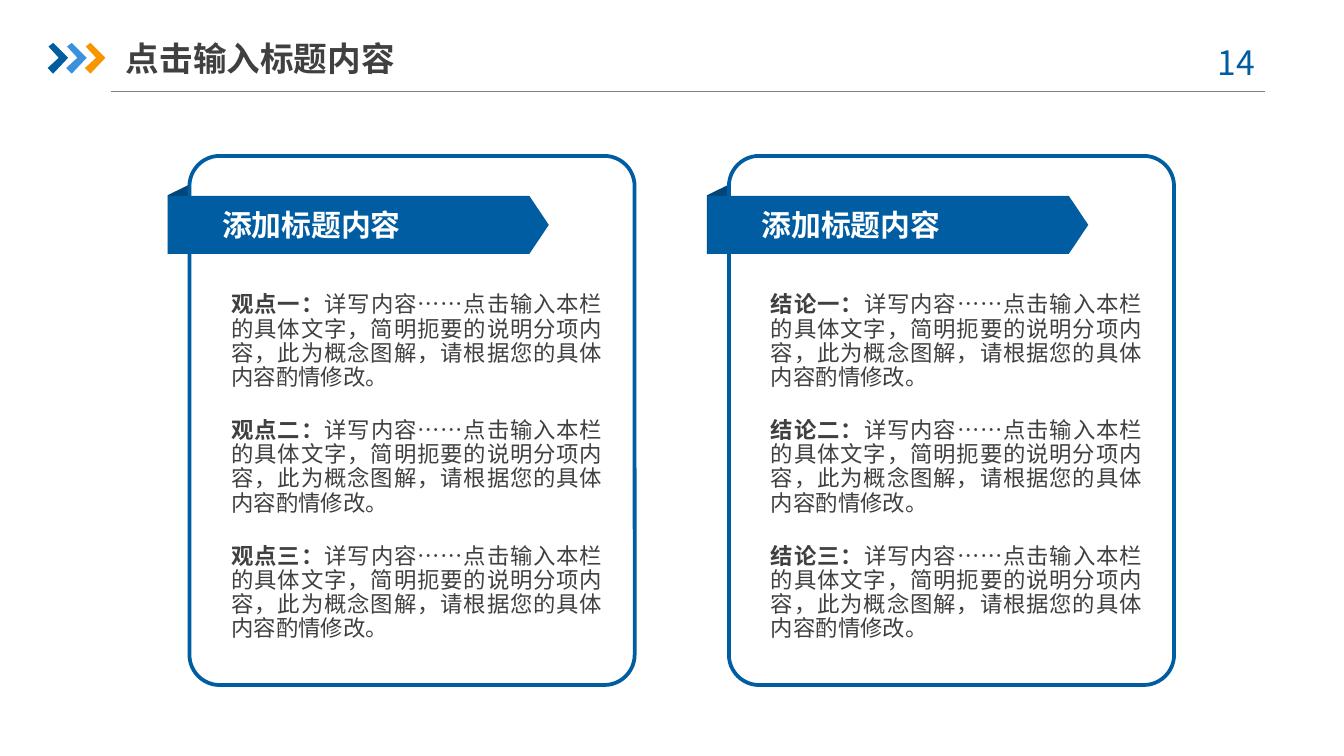
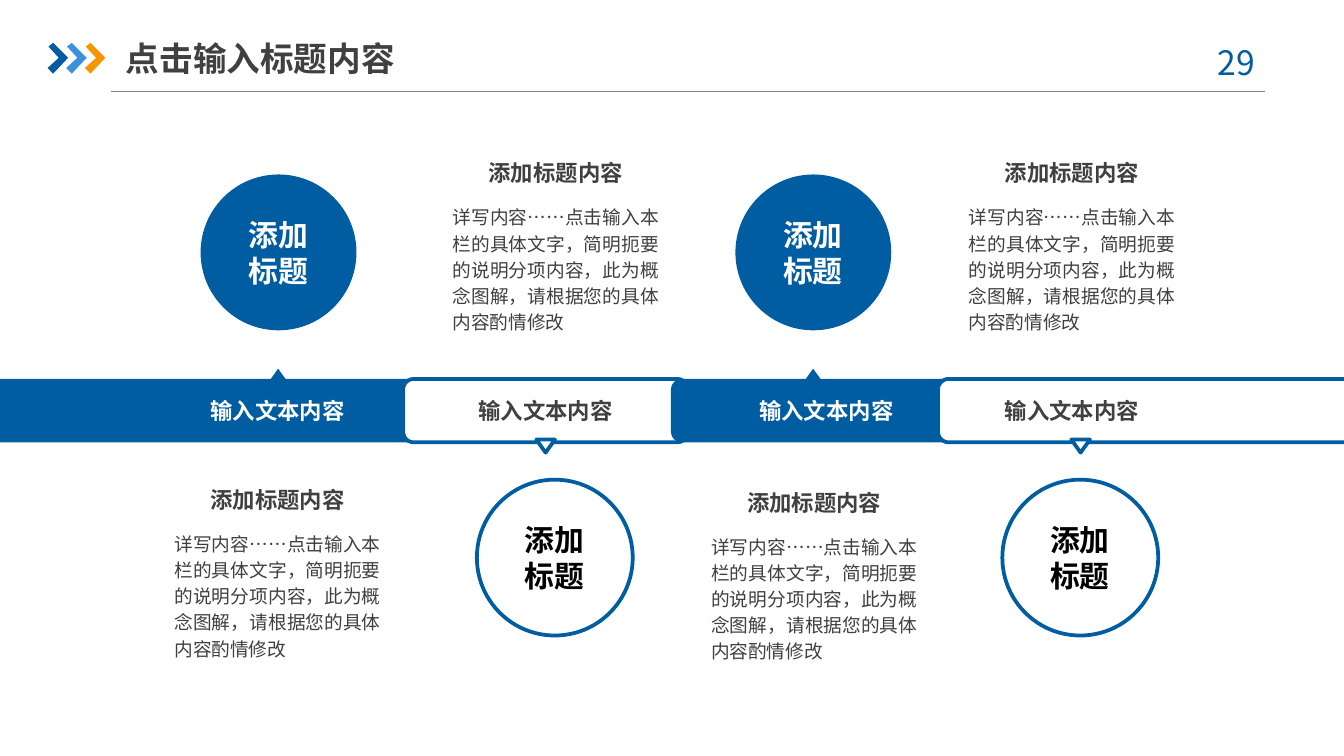
from lxml import etree
from pptx import Presentation
from pptx.dml.color import RGBColor
from pptx.enum.lang import MSO_LANGUAGE_ID
from pptx.enum.shapes import MSO_CONNECTOR, MSO_SHAPE
from pptx.enum.text import MSO_ANCHOR, MSO_AUTO_SIZE, PP_ALIGN
from pptx.oxml.ns import qn
from pptx.util import Pt

ROUND = MSO_SHAPE.ROUNDED_RECTANGLE
ARROW = MSO_SHAPE.PENTAGON
FOLD = MSO_SHAPE.FLOWCHART_DATA
DISC = MSO_SHAPE.OVAL
TIP = MSO_SHAPE.ISOSCELES_TRIANGLE
LEFT, MID, FULL = PP_ALIGN.LEFT, PP_ALIGN.CENTER, PP_ALIGN.JUSTIFY
TOP, CENTRE = MSO_ANCHOR.TOP, MSO_ANCHOR.MIDDLE

BLUE, SKY, GOLD, NAVY = "005DA2", "3992DB", "F79600", "00467A"
WHITE, BLACK, DARK, GREY = "FFFFFF", "000000", "404040", "808080"
SANS, HAN = "Arial", "Noto Sans CJK SC"

HEAD = "点击输入标题内容"
SUB = "添加标题内容"
BODY = "详写内容……点击输入本栏的具体文字，简明扼要的说明分项内容，此为概念图解，请根据您的具体内容酌情修改"


def hue(code):
    return RGBColor.from_string(code)


def paint(shape, fill, line=None):
    shape.shadow.inherit = False
    shape.fill.solid()
    shape.fill.fore_color.rgb = hue(fill)
    if line:
        shape.line.color.rgb = hue(line)
        shape.line.width = Pt(2)
    else:
        shape.line.fill.background()


def draw(slide, kind, box, fill, line=None, adj=None, flip=None):
    shape = slide.shapes.add_shape(kind, *map(Pt, box))
    paint(shape, fill, line)
    if adj is not None:
        shape.adjustments[0] = adj
    if flip:
        shape._element.spPr.find(qn("a:xfrm")).set(flip, "1")
    return shape


def text(shape, words, lead="", size=12, color=DARK, bold=False, font=SANS,
         align=LEFT, anchor=TOP, space=None, inset=(0, 0)):
    frame = shape.text_frame
    frame.word_wrap = True
    frame.auto_size = MSO_AUTO_SIZE.NONE
    frame.vertical_anchor = anchor
    frame.margin_left = frame.margin_right = Pt(inset[0])
    frame.margin_top = frame.margin_bottom = Pt(inset[1])
    para = frame.paragraphs[0]
    para.alignment = align
    if space:
        para.line_spacing = Pt(space)
    for part, heavy in ((lead, True), (words, bold)):
        if not part:
            continue
        run = para.add_run()
        run.text = part
        run.font.size = Pt(size)
        run.font.bold = heavy
        run.font.name = font
        run.font.color.rgb = hue(color)
        run.font.language_id = MSO_LANGUAGE_ID.SIMPLIFIED_CHINESE
        east = etree.SubElement(run._r.get_or_add_rPr(), qn("a:ea"))
        east.set("typeface", HAN)


def label(slide, box, words, **form):
    text(slide.shapes.add_textbox(*map(Pt, box)), words, **form)


def chevron(slide, x, y, color):
    points = [(0.5, 2), (3, 0), (11, 8), (3, 16.5), (0, 13.5), (6, 8)]
    spots = [(Pt(x + a), Pt(y + b)) for a, b in points]
    form = slide.shapes.build_freeform(*spots[0])
    form.add_line_segments(spots[1:], close=True)
    paint(form.convert_to_shape(), color)


def header(slide, page):
    rule = slide.shapes.add_connector(
        MSO_CONNECTOR.STRAIGHT, Pt(59.5), Pt(49), Pt(677.5), Pt(49))
    rule.line.color.rgb = hue(GREY)
    rule.line.width = Pt(0.75)
    etree.SubElement(rule._element.spPr, qn("a:effectLst"))
    for i, color in enumerate((BLUE, SKY, GOLD)):
        chevron(slide, 25.5 + 10 * i, 23, color)
    label(slide, (636, 19, 52.5, 29), page, size=18, color=BLUE, font=HAN,
          align=MID, inset=(7.2, 3.6))
    title = slide.shapes.title
    title.left, title.top, title.width, title.height = map(
        Pt, (67.5, 16, 168, 30))
    text(title, HEAD, size=18, bold=True, anchor=CENTRE, inset=(0, 3.6))


def panel(slide, x, y, name):
    fold = draw(slide, FOLD, (x - 23.5, y + 25, 39.5, 16), NAVY, flip="flipH")
    fold.rotation = 270
    draw(slide, ROUND, (x, y, 238.5, 283.5), WHITE, BLUE, adj=0.068)
    draw(slide, ARROW, (x - 11.5, y + 21.5, 204, 31), BLUE, adj=0.335)
    label(slide, (x + 17.5, y + 27.5, 134, 19.5), SUB, size=16,
          color=WHITE, bold=True)
    for i, mark in enumerate("一二三"):
        label(slide, (x + 22.5, y + 73.5 + 67.3 * i, 199, 52.5), BODY + "。",
              lead=f"{name}{mark}：", align=FULL, space=13)


def band(slide, x, wide, tip, mark, up):
    look = (BLUE, None) if up else (WHITE, BLUE)
    draw(slide, ROUND, (x, 203, wide, 34), *look, adj=0.167)
    draw(slide, TIP, (tip, 197.5 if up else 235.5, 10, 7), *look,
         flip=None if up else "flipV")
    label(slide, (mark, 213, 94.5, 14.5), "输入文本内容",
          color=WHITE if up else DARK, bold=True, align=MID)


def disc(slide, x, y, up):
    look = (BLUE, None) if up else (WHITE, BLUE)
    draw(slide, DISC, (x, y, 83.5, 83.5), *look)
    label(slide, (x + 19.5, y + 22.5, 44, 39), "添加标题", size=16,
          color=WHITE if up else BLACK, bold=True, align=MID)


def note(slide, x, y):
    label(slide, (x, y, 94.5, 14.5), SUB, bold=True, align=MID)
    label(slide, (x - 8, y + 23, 110.5, 70.5), BODY, size=10,
          align=FULL, space=14)


def views(slide):
    for i, name in enumerate(("观点", "结论")):
        panel(slide, 101.5 + 289 * i, 83.5, name)


def steps(slide):
    rows = [
        (-8.5, 234, 101.5, 107.5, 101.5, 260.5),
        (216, 152.5, 245, 255.5, 250.5, 85.5),
        (359.5, 152.5, 395.5, 394, 389, 262),
        (502.5, 226, 527, 537, 527, 85.5),
    ]
    for i, (x, wide, mark, ring, left, top) in enumerate(rows):
        up = i % 2 == 0
        band(slide, x, wide, 144 + 143.3 * i, mark, up)
        disc(slide, ring, 93.5 if up else 257, up)
        note(slide, left, top)


def main():
    deck = Presentation()
    deck.slide_width, deck.slide_height = Pt(720), Pt(405)
    for page, fill in (("14", views), ("29", steps)):
        slide = deck.slides.add_slide(deck.slide_layouts[5])
        header(slide, page)
        fill(slide)
    deck.save("out.pptx")


if __name__ == "__main__":
    main()
